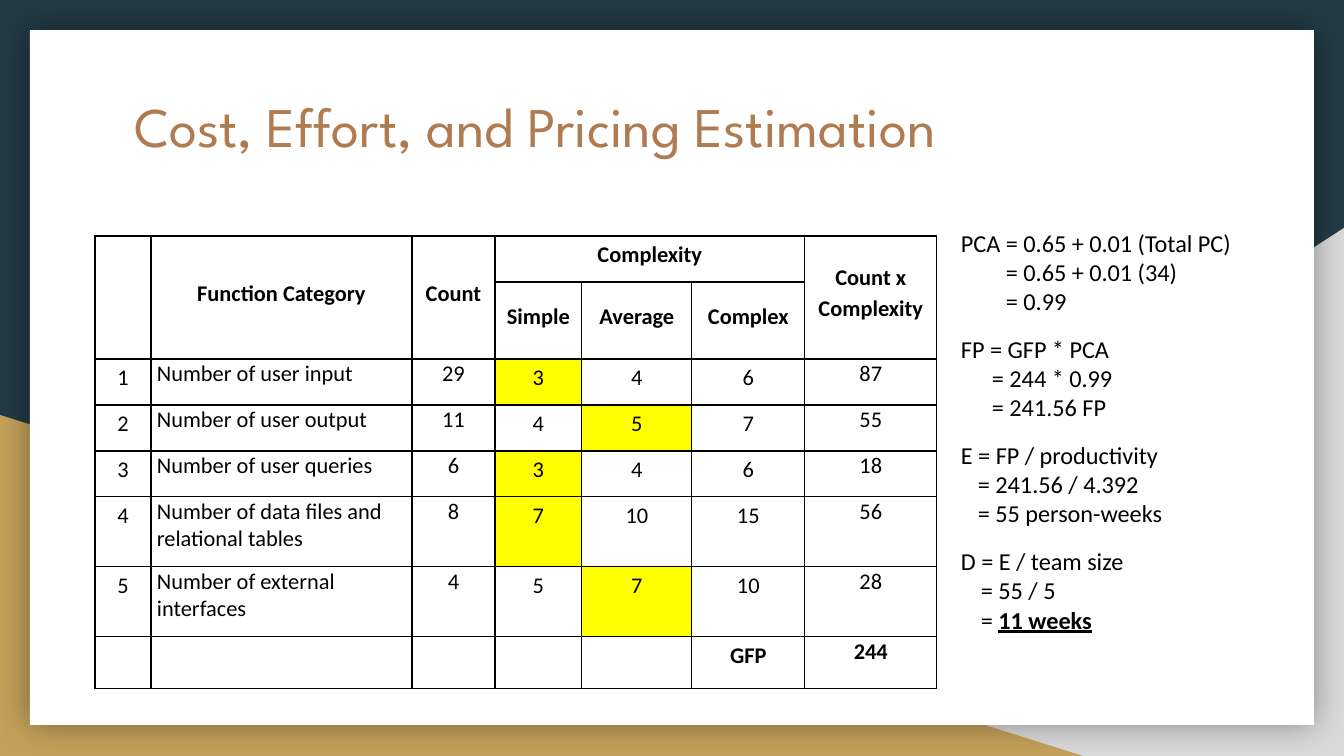
from dataclasses import dataclass

from lxml import etree
from pptx import Presentation
from pptx.dml.color import RGBColor
from pptx.enum.shapes import MSO_SHAPE
from pptx.enum.text import MSO_ANCHOR, MSO_AUTO_SIZE, PP_ALIGN
from pptx.oxml.ns import qn
from pptx.util import Emu, Pt

TRIANGLE, RECTANGLE = MSO_SHAPE.RIGHT_TRIANGLE, MSO_SHAPE.RECTANGLE
TOP, MIDDLE = MSO_ANCHOR.TOP, MSO_ANCHOR.MIDDLE
LEFT, CENTER = PP_ALIGN.LEFT, PP_ALIGN.CENTER
TITLE_ONLY = 5
EMU_PER_PX = 914400 / 134.4


@dataclass(frozen=True)
class Theme:
    navy: str = "233A44"
    grey: str = "D9D9D9"
    gold: str = "C4A15A"
    white: str = "FFFFFF"
    black: str = "000000"
    copper: str = "AF7B51"
    highlight: str = "FFFF00"
    title_font: str = "League Spartan"
    body_font: str = "Calibri"
    title_size: int = 30
    table_size: int = 12
    formula_size: int = 13
    block_gap: int = 10
    border: float = 0.75


@dataclass(frozen=True)
class Panel:
    preset: int
    box: tuple[int, int, int, int]
    color: str
    flipped: bool = False
    shadowed: bool = False


@dataclass(frozen=True)
class Category:
    number: str
    label: str
    count: str
    weights: tuple[str, str, str]
    chosen: int
    total: str


@dataclass(frozen=True)
class Formula:
    first: str
    steps: tuple[str, str]
    indent: int


THEME = Theme()
PANELS = (
    Panel(TRIANGLE, (527, 228, 817, 528), THEME.grey, flipped=True),
    Panel(TRIANGLE, (0, 415, 1083, 341), THEME.gold),
    Panel(RECTANGLE, (30, 30, 1284, 695), THEME.white, shadowed=True),
)
COLUMN_WIDTHS = (56, 261, 83, 87, 110, 113, 132)
ROW_HEIGHTS = (46, 77, 46, 46, 46, 70, 70, 52)
HEADER_MERGES = ((0, 0, 1, 0), (0, 1, 1, 1), (0, 2, 1, 2), (0, 3, 0, 5), (0, 6, 1, 6))
HEADERS = {
    (0, 1): "Function Category", (0, 2): "Count", (0, 3): "Complexity",
    (0, 6): "Count x Complexity",
    (1, 3): "Simple", (1, 4): "Average", (1, 5): "Complex",
}
CATEGORIES = (
    Category("1", "Number of user input", "29", ("3", "4", "6"), 0, "87"),
    Category("2", "Number of user output", "11", ("4", "5", "7"), 1, "55"),
    Category("3", "Number of user queries", "6", ("3", "4", "6"), 0, "18"),
    Category("4", "Number of data files and\nrelational tables", "8", ("7", "10", "15"), 0, "56"),
    Category("5", "Number of external\ninterfaces", "4", ("5", "7", "10"), 1, "28"),
)
FORMULAS = (
    Formula("PCA = 0.65 + 0.01 (Total PC)", ("= 0.65 + 0.01 (34)", "= 0.99"), 45),
    Formula("FP = GFP * PCA", ("= 244 * 0.99", "= 241.56 FP"), 31),
    Formula("E = FP / productivity", ("= 241.56 / 4.392", "= 55 person-weeks"), 17),
    Formula("D = E / team size", ("= 55 / 5", "= "), 20),
)
DURATION = "11 weeks"


def px(length: int) -> Emu:
    return Emu(round(length * EMU_PER_PX))


def rgb(color: str) -> RGBColor:
    return RGBColor.from_string(color)


def style(paragraph, font: str, size: int, color: str, bold: bool = False) -> None:
    for run in paragraph.runs:
        run.font.name, run.font.size, run.font.bold = font, Pt(size), bold
        run.font.color.rgb = rgb(color)


def add_soft_shadow(shape) -> None:
    effects = shape.element.spPr.find(qn("a:effectLst"))
    shadow = etree.SubElement(effects, qn("a:outerShdw"), blurRad=str(Pt(18)), dist="0", dir="0")
    color = etree.SubElement(shadow, qn("a:srgbClr"), val=THEME.black)
    etree.SubElement(color, qn("a:alpha"), val="40000")


def draw_panel(slide, panel: Panel) -> None:
    shape = slide.shapes.add_shape(panel.preset, *map(px, panel.box))
    shape.shadow.inherit = False
    shape.fill.solid()
    shape.fill.fore_color.rgb = rgb(panel.color)
    shape.line.fill.background()
    if panel.flipped:
        shape.element.spPr.find(qn("a:xfrm")).set("flipH", "1")
    if panel.shadowed:
        add_soft_shadow(shape)


def draw_title(slide) -> None:
    title = slide.shapes.title
    title.element.getparent().append(title.element)  # in front of the panels
    title.left, title.top, title.width, title.height = map(px, (121, 79, 1103, 140))
    frame = title.text_frame
    frame.text = "Cost, Effort, and Pricing Estimation"
    frame.auto_size, frame.vertical_anchor = MSO_AUTO_SIZE.NONE, TOP
    frame.margin_left = frame.margin_right = frame.margin_top = frame.margin_bottom = px(13)
    frame.paragraphs[0].alignment = LEFT
    style(frame.paragraphs[0], THEME.title_font, THEME.title_size, THEME.copper)


def add_borders(cell) -> None:
    properties = cell._tc.get_or_add_tcPr()
    for index, side in enumerate(("lnL", "lnR", "lnT", "lnB")):
        line = etree.Element(qn(f"a:{side}"), w=str(Pt(THEME.border)))
        fill = etree.SubElement(line, qn("a:solidFill"))
        etree.SubElement(fill, qn("a:srgbClr"), val=THEME.black)
        properties.insert(index, line)


def fill_cell(cell, text: str, bold: bool = False, spacing: float = 1.15,
              align: int = CENTER, anchor: int = TOP) -> None:
    cell.text_frame.text = text
    cell.vertical_anchor = anchor
    cell.margin_left = px(6 if align == LEFT else 1)
    cell.margin_bottom = px(13)
    for paragraph in cell.text_frame.paragraphs:
        paragraph.alignment, paragraph.line_spacing = align, spacing
        style(paragraph, THEME.body_font, THEME.table_size, THEME.black, bold)


def draw_table(slide) -> None:
    table = slide.shapes.add_table(
        len(ROW_HEIGHTS), len(COLUMN_WIDTHS), px(95), px(236),
        px(sum(COLUMN_WIDTHS)), px(sum(ROW_HEIGHTS))).table
    table.first_row = table.horz_banding = False
    for column, width in zip(table.columns, COLUMN_WIDTHS):
        column.width = px(width)
    for row, height in zip(table.rows, ROW_HEIGHTS):
        row.height = px(height)
    for cell in table.iter_cells():
        cell.fill.background()
        cell.margin_left = cell.margin_right = cell.margin_top = cell.margin_bottom = px(1)
        add_borders(cell)
    for top, left, bottom, right in HEADER_MERGES:
        table.cell(top, left).merge(table.cell(bottom, right))
    for (row, column), text in HEADERS.items():
        fill_cell(table.cell(row, column), text, bold=True, anchor=MIDDLE)
    for row, category in enumerate(CATEGORIES, start=2):
        fill_cell(table.cell(row, 0), category.number)
        fill_cell(table.cell(row, 1), category.label, spacing=1.0, align=LEFT)
        fill_cell(table.cell(row, 2), category.count, spacing=1.0)
        for column, weight in enumerate(category.weights, start=3):
            fill_cell(table.cell(row, column), weight)
        chosen = table.cell(row, 3 + category.chosen)
        chosen.fill.solid()
        chosen.fill.fore_color.rgb = rgb(THEME.highlight)
        fill_cell(table.cell(row, 6), category.total, spacing=1.0)
    last = len(ROW_HEIGHTS) - 1
    fill_cell(table.cell(last, 5), "GFP", bold=True)
    fill_cell(table.cell(last, 6), "244", bold=True, spacing=1.0)


def draw_formulas(slide) -> None:
    frame = slide.shapes.add_textbox(*map(px, (948, 215, 305, 437))).text_frame
    frame.word_wrap = True
    frame.margin_left = frame.margin_right = frame.margin_top = frame.margin_bottom = px(13)
    lines = [(text, 0 if step == 0 else formula.indent)
             for formula in FORMULAS
             for step, text in enumerate((formula.first, *formula.steps))]
    frame.text = "\n".join(text for text, _ in lines)
    for index, (paragraph, (_, indent)) in enumerate(zip(frame.paragraphs, lines)):
        if indent:
            paragraph._p.get_or_add_pPr().set("marL", str(px(indent)))
        elif index:
            paragraph.space_before = Pt(THEME.block_gap)
        style(paragraph, THEME.body_font, THEME.formula_size, THEME.black)
    answer = frame.paragraphs[-1]
    duration = answer.add_run()
    duration.text = DURATION
    style(answer, THEME.body_font, THEME.formula_size, THEME.black)
    duration.font.bold = duration.font.underline = True


def main() -> None:
    presentation = Presentation()
    presentation.slide_width, presentation.slide_height = px(1344), px(756)
    slide = presentation.slides.add_slide(presentation.slide_layouts[TITLE_ONLY])
    slide.background.fill.solid()
    slide.background.fill.fore_color.rgb = rgb(THEME.navy)
    for panel in PANELS:
        draw_panel(slide, panel)
    draw_title(slide)
    draw_table(slide)
    draw_formulas(slide)
    presentation.save("out.pptx")


if __name__ == "__main__":
    main()
